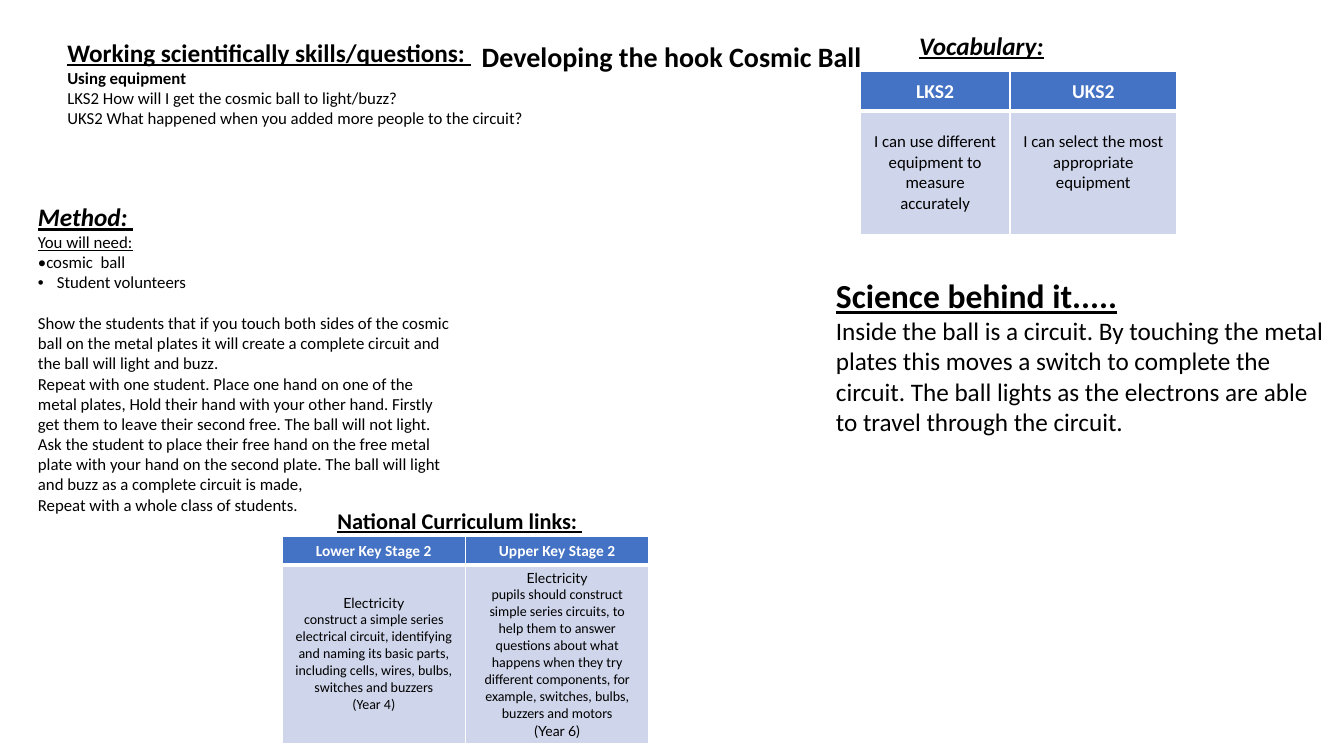
from lxml.etree import SubElement
from pptx import Presentation
from pptx.dml.color import RGBColor
from pptx.enum.text import MSO_ANCHOR as ANCHOR, PP_ALIGN as ALIGN
from pptx.oxml.ns import qn
from pptx.util import Pt

BLACK, WHITE, BLUE, PALE = "000000", "FFFFFF", "4472C4", "CFD5EA"


def rgb(color):
    """Turn a hex string into a colour."""
    return RGBColor.from_string(color)


def add_run(p, text, size, color=BLACK, font="Calibri", bold=False, italic=False, underline=False):
    """Append a formatted run to a paragraph."""
    r = p.add_run()
    r.text = text
    f = r.font
    f.size, f.name, f.bold, f.italic, f.underline = Pt(size), font, bold, italic, underline
    f.color.rgb = rgb(color)


def add_paragraphs(tf, items, align=ALIGN.LEFT):
    """Fill a text frame with (text, size, format) items and return its paragraphs."""
    for i, (text, size, fmt) in enumerate(items):
        p = tf.paragraphs[0] if i == 0 else tf.add_paragraph()
        p.alignment = align
        add_run(p, text, size, **fmt)
    return tf.paragraphs


def add_bullet(p, indent):
    """Give a paragraph a hanging round bullet."""
    pPr = p._p.get_or_add_pPr()
    pPr.set("marL", str(Pt(indent)))
    pPr.set("indent", str(-Pt(indent)))
    SubElement(pPr, qn("a:buFont"), typeface="Arial")
    SubElement(pPr, qn("a:buChar"), char="•")


def add_title(s, box, text):
    """Place the slide title in its box."""
    sp = s.shapes.title
    sp.left, sp.top, sp.width, sp.height = map(Pt, box)
    tf = sp.text_frame
    tf.word_wrap, tf.vertical_anchor = True, ANCHOR.TOP
    add_paragraphs(tf, [(text, 20, dict(bold=True))], ALIGN.CENTER)


def add_section(s, box, heading, size, body=(), italic=False):
    """Add an underlined heading with body items and return the paragraphs."""
    tf = s.shapes.add_textbox(*map(Pt, box)).text_frame
    tf.word_wrap = True
    head = (heading, size, dict(bold=True, italic=italic, underline=True))
    return add_paragraphs(tf, [head, *body])


def add_method(s, box):
    """Add the method with its equipment list and steps."""
    lines = [
        "•cosmic  ball",
        "Student volunteers",
        "Show the students that if you touch both sides of the cosmic ball on the metal plates "
        "it will create a complete circuit and the ball will light and buzz.",
        "Repeat with one student. Place one hand on one of the metal plates, Hold their hand with "
        "your other hand. Firstly get them to leave their second free. The ball will not light.",
        "Ask the student to place their free hand on the free metal plate with your hand on the "
        "second plate. The ball will light and buzz as a complete circuit is made,",
        "Repeat with a whole class of students.",
    ]
    body = [("You will need:", 12, dict(underline=True))] + [(t, 12, {}) for t in lines]
    paragraphs = add_section(s, box, "Method: ", 18, body, italic=True)
    add_bullet(paragraphs[3], 13.5)
    paragraphs[4].space_before = Pt(14.6)


def style_cell(cell, fill, bottom):
    """Draw white borders around a cell and fill it."""
    tcPr = cell._tc.get_or_add_tcPr()
    for side, width in (("L", 1), ("R", 1), ("T", 1), ("B", bottom)):
        ln = SubElement(tcPr, qn("a:ln" + side), w=str(Pt(width)))
        SubElement(SubElement(ln, qn("a:solidFill")), qn("a:srgbClr"), val=WHITE)
    cell.fill.solid()
    cell.fill.fore_color.rgb = rgb(fill)
    cell.vertical_anchor = ANCHOR.MIDDLE


def add_stage_table(s, left, top, widths, heights, heads, head_size, bodies):
    """Add a two-column table of key stages and return it."""
    table = s.shapes.add_table(2, 2, Pt(left), Pt(top), Pt(sum(widths)), Pt(sum(heights))).table
    for row, height in zip(table.rows, heights):
        row.height = Pt(height)
    for c, (width, head, body) in enumerate(zip(widths, heads, bodies)):
        table.columns[c].width = Pt(width)
        top_cell, body_cell = table.cell(0, c), table.cell(1, c)
        style_cell(top_cell, BLUE, 3)
        style_cell(body_cell, PALE, 1)
        add_paragraphs(top_cell.text_frame, [(head, head_size, dict(color=WHITE, bold=True))], ALIGN.CENTER)
        add_paragraphs(body_cell.text_frame, body, ALIGN.CENTER)
    return table


def add_vocabulary(s, left, top):
    """Add the vocabulary heading and table."""
    add_section(s, (left + 35, top - 33, 227.5, 46), "Vocabulary:", 18, italic=True)
    bodies = [
        [("I can use different equipment to measure accurately", 12, {})],
        [("I can select the most appropriate equipment", 12, {})],
    ]
    table = add_stage_table(s, left, top, (107, 119), (28.5, 88), ("LKS2", "UKS2"), 14, bodies)
    table.cell(1, 1).margin_bottom = Pt(18.2)


def add_curriculum(s, left, top):
    """Add the curriculum heading and table."""
    add_section(s, (left + 32.5, top - 24.5, 229.5, 104), "National Curriculum links: ", 16)
    lato = dict(font="Lato")
    bodies = [
        [
            ("Electricity", 10, lato),
            ("construct a simple series electrical circuit, identifying and naming its basic "
             "parts, including cells, wires, bulbs, switches and buzzers", 10, {}),
            ("(Year 4)", 10, {}),
        ],
        [
            ("Electricity", 10, lato),
            ("pupils should construct simple series circuits, to help them to answer questions "
             "about what happens when they try different components, for example, switches, "
             "bulbs, buzzers and motors", 10, {}),
            ("(Year 6)", 10, lato),
        ],
    ]
    heads = ("Lower Key Stage 2", "Upper Key Stage 2")
    table = add_stage_table(s, left, top, (131, 131), (20.5, 127), heads, 11, bodies)
    upper = table.cell(1, 1)
    upper.margin_left = upper.margin_right = Pt(11)


def main():
    """Build and save the slide."""
    prs = Presentation()
    prs.slide_width, prs.slide_height = Pt(960), Pt(540)
    s = prs.slides.add_slide(prs.slide_layouts[5])
    add_title(s, (178, 24.5, 603.5, 31.5), "Developing the hook Cosmic Ball")
    add_method(s, (20, 140.5, 311, 312.5))
    add_section(s, (41, 23, 437, 116.5), "Working scientifically skills/questions: ", 18, [
        ("Using equipment", 12, dict(bold=True)),
        ("LKS2 How will I get the cosmic ball to light/buzz?", 12, {}),
        ("UKS2 What happened when you added more people to the circuit?", 12, {}),
    ])
    add_section(s, (590, 193, 370, 143.5), "Science behind it.....", 24, [
        ("Inside the ball is a circuit. By touching the metal plates this moves a switch to "
         "complete the circuit. The ball lights as the electrons are able to travel through "
         "the circuit.", 18, {}),
    ])
    add_curriculum(s, 201.5, 383)
    add_vocabulary(s, 614.5, 51)
    prs.save("out.pptx")


if __name__ == "__main__":
    main()
